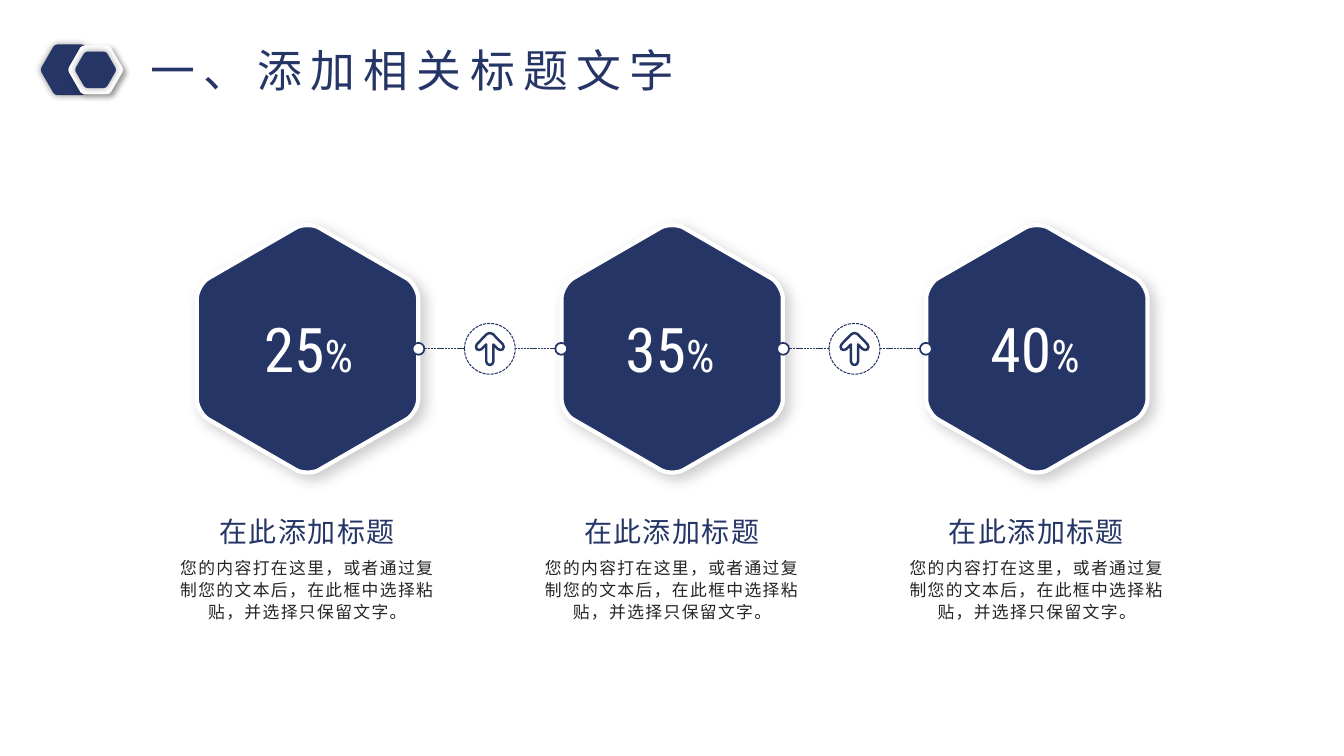
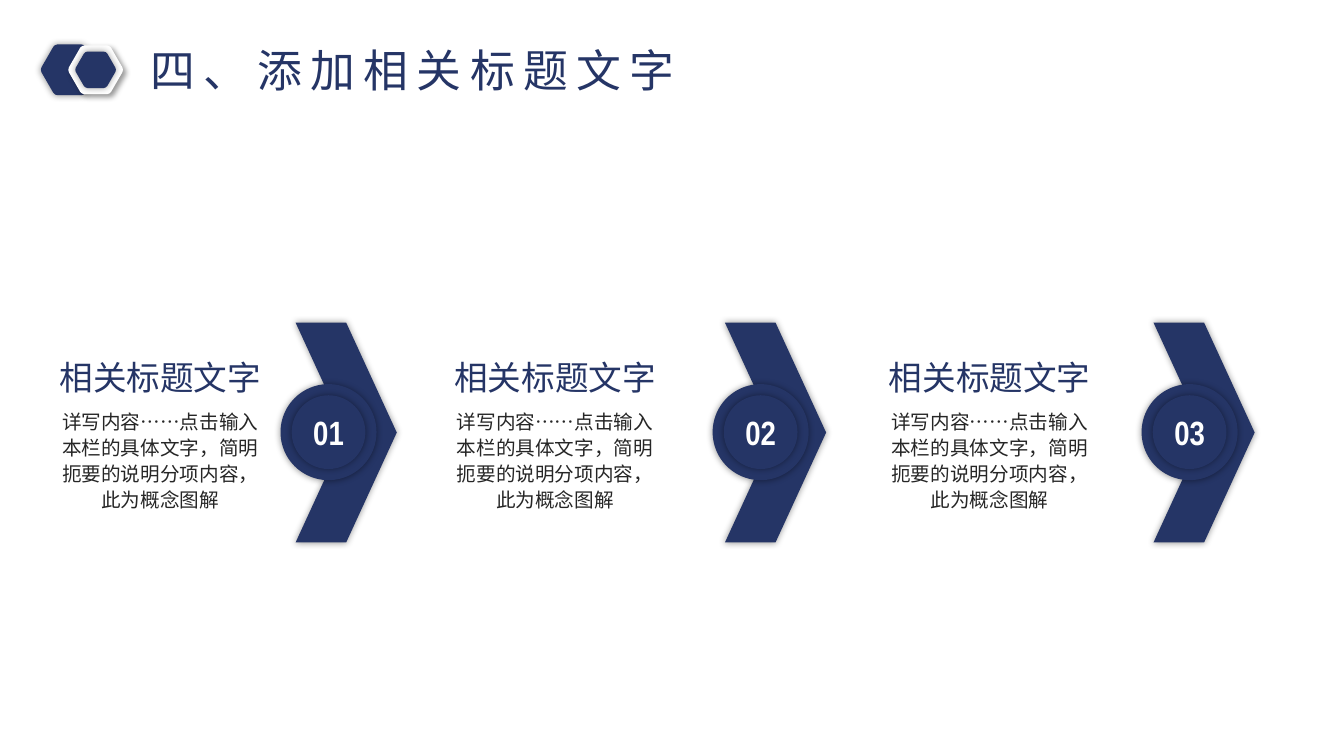
from math import cos, sin, pi, hypot

from lxml.etree import SubElement
from pptx import Presentation
from pptx.dml.color import RGBColor
from pptx.enum.dml import MSO_LINE
from pptx.enum.shapes import MSO_CONNECTOR, MSO_SHAPE
from pptx.enum.text import MSO_ANCHOR, MSO_AUTO_SIZE, PP_ALIGN
from pptx.oxml.ns import qn
from pptx.util import Cm, Pt

COLORS = {"navy": "253566", "white": "FFFFFF", "ink": "262626", "black": "000000"}
HAN, DIGIT, BADGE = "Noto Sans CJK SC", "Roboto Condensed", "Arial Narrow"

# Shadows: opacity in percent, blur and distance in points, angle in degrees
GLOW = (40, 5, 0, 0)
DROP = (40, 4, 3, 45)
SOFT = (20, 10, 5, 45)

# Shared measures in centimetres
MID = 8.79
RING, DOT, REACH = 0.64, 0.15, 1.8


def color(name):
    return RGBColor.from_string(COLORS[name])


# Fill, line and shadow
def paint(shape, fill=None, line=None, width=1, dash=None, shadow=None):
    if fill:
        shape.fill.solid()
        shape.fill.fore_color.rgb = color(fill)
    else:
        shape.fill.background()
    if line:
        shape.line.color.rgb = color(line)
        shape.line.width = Pt(width)
        if dash:
            shape.line.dash_style = dash
    else:
        shape.line.fill.background()
    shape.shadow.inherit = False
    if shadow:
        alpha, blur, dist, angle = shadow
        effects = shape._element.spPr.find(qn("a:effectLst"))
        outer = SubElement(effects, qn("a:outerShdw"), blurRad=str(Pt(blur)),
                           dist=str(Pt(dist)), dir=str(angle * 60000),
                           algn="ctr", rotWithShape="0")
        tint = SubElement(outer, qn("a:srgbClr"), val=COLORS["black"])
        SubElement(tint, qn("a:alpha"), val=str(alpha * 1000))
    return shape


# Closed outline; each corner is x, y and the length its curve cuts off
def outline(slide, corners, **style):
    points, bends = [], []
    for i, (x, y, cut) in enumerate(corners):
        if not cut:
            points.append((x, y))
            continue
        ends = []
        for nx, ny, _ in (corners[i - 1], corners[(i + 1) % len(corners)]):
            part = cut / hypot(nx - x, ny - y)
            ends.append((x + (nx - x) * part, y + (ny - y) * part))
        start, end = ends
        pulls = [((px + x) / 2, (py + y) / 2) for px, py in ends]
        bends.append(len(points))
        points += [start, *pulls, end]
    points = [(Cm(x), Cm(y)) for x, y in points]
    build = slide.shapes.build_freeform(*points[0], scale=1.0)
    build.add_line_segments(points[1:], close=True)
    shape = build.convert_to_shape()

    # Turn the three segments after each curve start into one curve
    steps = list(next(shape._element.iter(qn("a:lnTo"))).getparent())
    for bend in bends:
        curve, *rest = steps[bend + 1:bend + 4]
        curve.tag = qn("a:cubicBezTo")
        for step in rest:
            curve.append(step[0])
            step.getparent().remove(step)
    return paint(shape, **style)


def hexagon(slide, cx, cy, size, cut, turn=0, **style):
    angles = [turn + i * pi / 3 for i in range(6)]
    corners = [(cx + size * cos(a), cy + size * sin(a), cut) for a in angles]
    return outline(slide, corners, **style)


def arrow(slide, cx, cy):
    half = [(0.39, -0.05, 0.09), (0.27, 0.07, 0.09),
            (0.09, -0.11, 0), (0.09, 0.41, 0.09)]
    whole = [(0, -0.45, 0.11)] + half + [(-x, y, c) for x, y, c in reversed(half)]
    outline(slide, [(cx + x, cy + y, c) for x, y, c in whole],
            line="navy", width=1.75)


def circle(slide, cx, cy, size, **style):
    shape = slide.shapes.add_shape(MSO_SHAPE.OVAL, Cm(cx - size), Cm(cy - size),
                                   Cm(2 * size), Cm(2 * size))
    return paint(shape, **style)


# Text
def style_run(run, size, font, ink, bold=False, gap=0):
    run.font.size = Pt(size)
    run.font.name = font
    run.font.bold = bold
    run.font.color.rgb = color(ink)
    props = run._r.get_or_add_rPr()
    if gap:
        props.set("spc", str(gap * 100))
    SubElement(props, qn("a:ea"), typeface=font)


def clear_inset(frame):
    frame.margin_left = frame.margin_right = 0
    frame.margin_top = frame.margin_bottom = 0


def label(slide, box, text, size, font, ink, align=PP_ALIGN.CENTER,
          gap=0, lead=None, wrap=True):
    frame = slide.shapes.add_textbox(*map(Cm, box)).text_frame
    frame.word_wrap = wrap
    frame.auto_size = MSO_AUTO_SIZE.SHAPE_TO_FIT_TEXT
    frame.text = text
    para = frame.paragraphs[0]
    para.alignment = align
    if lead:
        para.line_spacing = lead
    style_run(para.runs[0], size, font, ink, gap=gap)
    return frame


# Shared slide head
def add_page(deck, title):
    slide = deck.slides.add_slide(deck.slide_layouts[6])
    hexagon(slide, 1.75, 1.76, 0.74, 0.07, fill="navy", shadow=GLOW)
    hexagon(slide, 2.41, 1.76, 0.71, 0.07, fill="white", shadow=DROP)
    hexagon(slide, 2.41, 1.76, 0.53, 0.06, fill="navy", shadow=GLOW)
    label(slide, (3.55, 0.94, 14.05, 1.63), title, 32, HAN, "navy",
          align=PP_ALIGN.LEFT, gap=6, wrap=False)
    return slide


# Percentage inside a hexagon
def add_share(slide, left, value):
    frame = label(slide, (left, 7.72, 4.11, 2.13), value, 44, DIGIT, "white")
    sign = frame.paragraphs[0].add_run()
    sign.text = "%"
    style_run(sign, 32, DIGIT, "white")


# Text and heading under a hexagon
def add_note(slide, cx):
    label(slide, (cx - 3.58, 13.88, 7.16, 1.96),
          "您的内容打在这里，或者通过复制您的文本后，在此框中选择粘贴，并选择只保留文字。",
          12, HAN, "ink", gap=1, lead=1.1)
    label(slide, (cx - 3.35, 12.83, 6.68, 1.12), "在此添加标题", 20, HAN, "navy", gap=1)


# Dashed link between two columns
def add_link(slide, cx):
    for side in (1, -1):
        line = slide.shapes.add_connector(
            MSO_CONNECTOR.STRAIGHT, Cm(cx + side * RING), Cm(MID),
            Cm(cx + side * (REACH - DOT)), Cm(MID))
        line.line.color.rgb = color("navy")
        line.line.width = Pt(0.5)
        line.line.dash_style = MSO_LINE.SQUARE_DOT
        SubElement(line._element.spPr, qn("a:effectLst"))
    circle(slide, cx, MID, RING, line="navy", width=0.75, dash=MSO_LINE.SQUARE_DOT)
    arrow(slide, cx, MID)
    for side in (-1, 1):
        circle(slide, cx + side * REACH, MID, DOT, fill="white",
               line="navy", width=1.25)


# Chevron with a numbered badge
def add_step(slide, number, left, cx):
    style = {"fill": "navy", "shadow": GLOW}
    point = slide.shapes.add_shape(MSO_SHAPE.CHEVRON, Cm(left), Cm(8.13),
                                   Cm(2.55), Cm(5.54))
    paint(point, **style)
    circle(slide, cx, 10.89, 1.21, **style)
    frame = circle(slide, cx, 10.89, 0.93, **style).text_frame
    clear_inset(frame)
    frame.word_wrap = False
    frame.vertical_anchor = MSO_ANCHOR.MIDDLE
    frame.text = number
    frame.paragraphs[0].alignment = PP_ALIGN.CENTER
    style_run(frame.paragraphs[0].runs[0], 24, BADGE, "white", bold=True)


# Heading and text beside a chevron
def add_topic(slide, cx):
    label(slide, (cx - 2.83, 8.86, 5.66, 1.28), "相关标题文字", 24, HAN, "navy",
          wrap=False)
    body = label(slide, (cx - 2.67, 10.26, 5.34, 2.67),
                 "详写内容……点击输入本栏的具体文字，简明扼要的说明分项内容，此为概念图解",
                 14, HAN, "ink", lead=Pt(18.7))
    clear_inset(body)


def main():
    deck = Presentation()
    deck.slide_width, deck.slide_height = Cm(33.87), Cm(19.05)

    # Shares
    slide = add_page(deck, "一、添加相关标题文字")
    first, pitch = 7.75, 9.19
    columns = [first + i * pitch for i in range(3)]
    for cx in columns:
        hexagon(slide, cx, MID, 3.22, 0.33, turn=pi / 6, fill="navy",
                line="white", width=3, shadow=SOFT)
    for cx in columns[:2]:
        add_link(slide, cx + pitch / 2)
    for left, value in ((5.72, "25"), (14.83, "35"), (24.03, "40")):
        add_share(slide, left, value)
    for cx in columns:
        add_note(slide, cx)

    # Steps
    slide = add_page(deck, "四、添加相关标题文字")
    for step in (("01", 7.45, 8.28), ("02", 18.27, 19.17), ("03", 29.07, 29.98)):
        add_step(slide, *step)
    for cx in (4.04, 13.99, 24.94):
        add_topic(slide, cx)

    deck.save("out.pptx")


if __name__ == "__main__":
    main()
